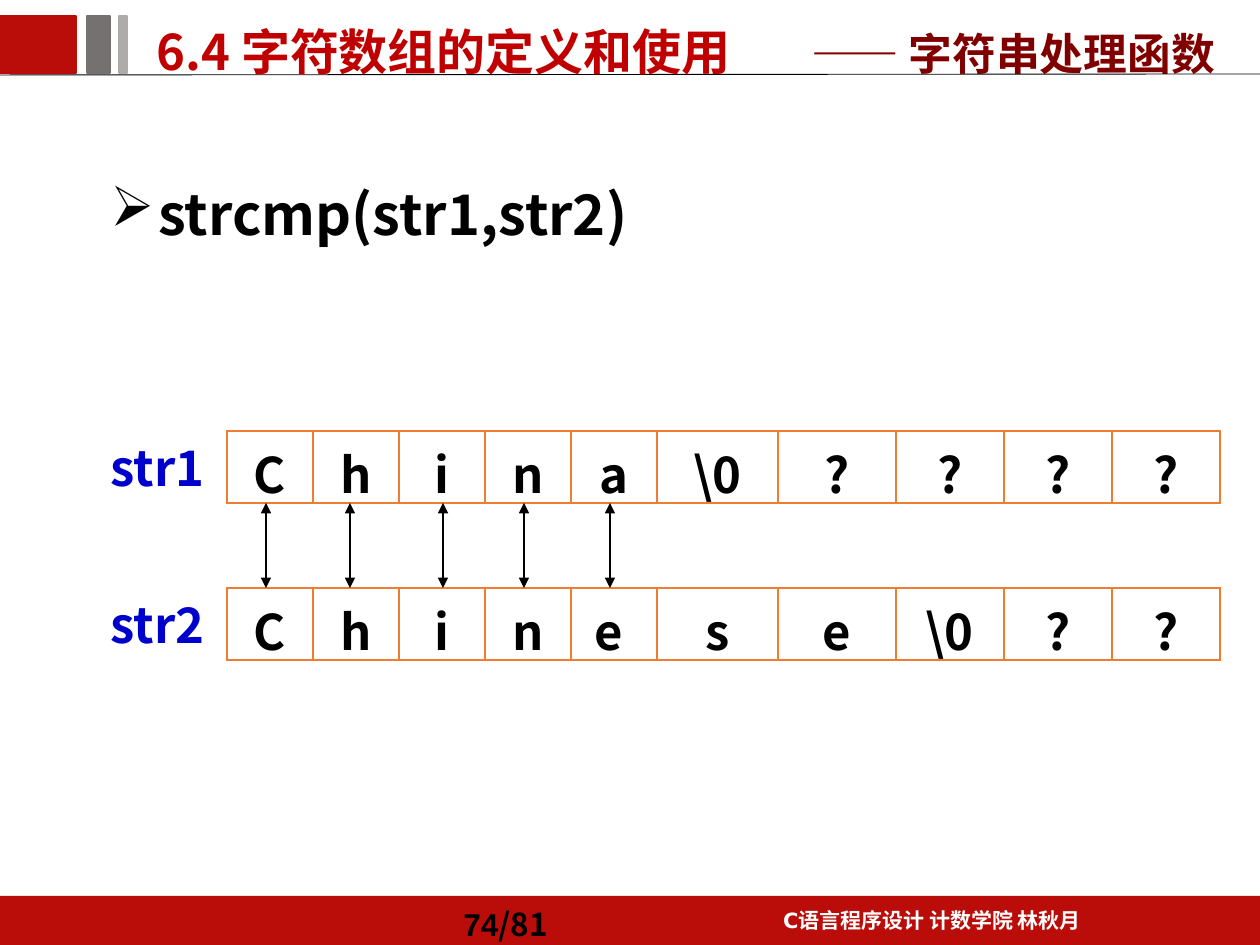
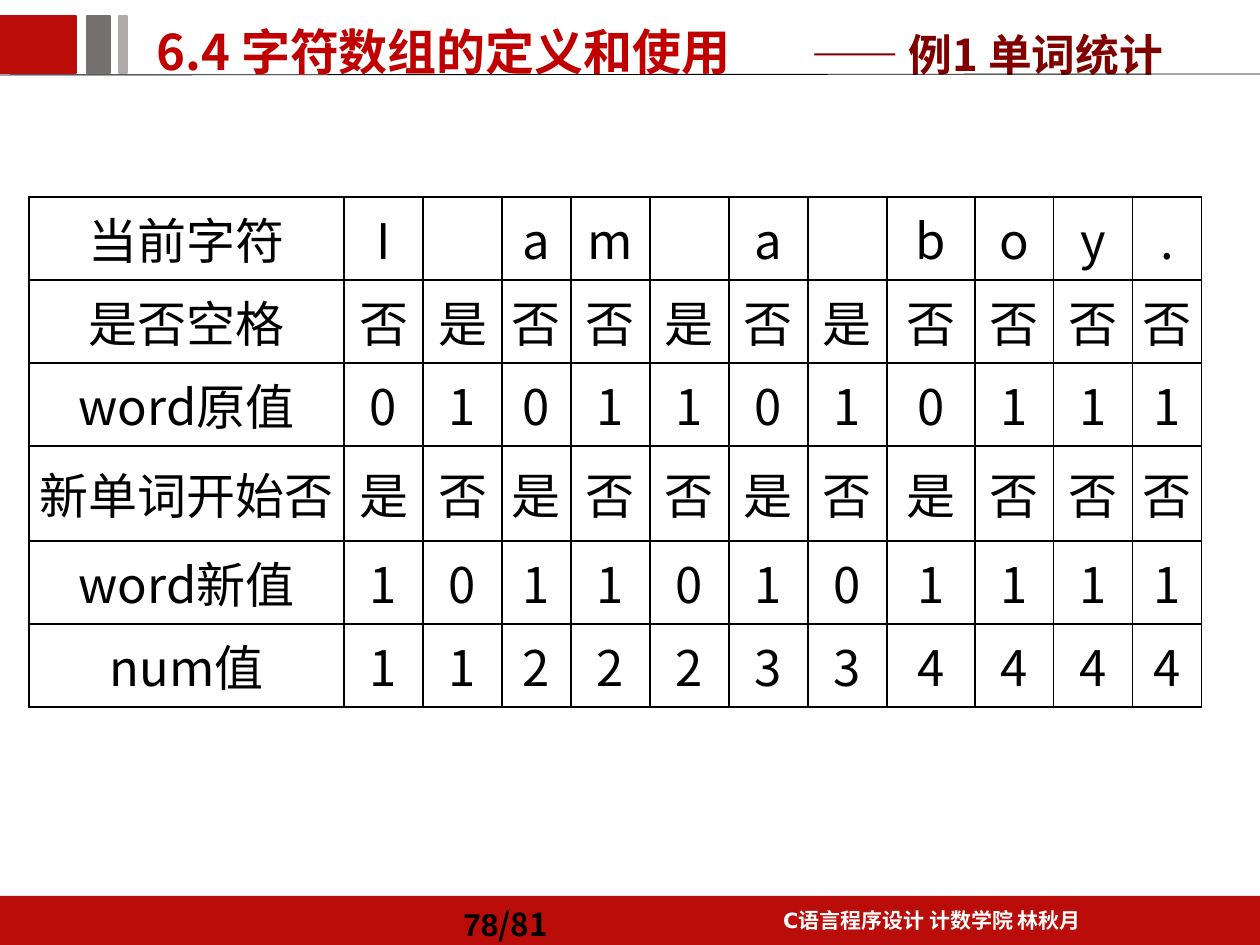
from dataclasses import dataclass

from lxml.etree import SubElement as Sub
from pptx import Presentation
from pptx.dml.color import RGBColor as Color
from pptx.enum.shapes import MSO_CONNECTOR as Link, MSO_SHAPE as Kind
from pptx.enum.text import MSO_ANCHOR as Anchor, MSO_AUTO_SIZE as Auto, PP_ALIGN as Align
from pptx.oxml.ns import qn
from pptx.util import Emu, Pt


@dataclass(frozen=True)
class Theme:
    red: str = "BA0D09"
    gray: str = "767171"
    pale: str = "AFABAB"
    black: str = "000000"
    white: str = "FFFFFF"
    head: str = "C00000"
    topic: str = "800000"
    blue: str = "0000CC"
    orange: str = "ED7D31"
    main: str = "Noto Sans CJK SC"
    plain: str = "Arial"
    sans: str = "DejaVu Sans"
    foot: int = 12
    page: int = 18
    title: int = 25
    body: int = 28
    large: int = 32


T = Theme()
SCALE = 914400 / 126
WIDE, HIGH = 1260, 945


def px(n):
    return Emu(round(n * SCALE))


def box(*sides):
    return [px(n) for n in sides]


def add_run(para, text, size, color, font=T.main, bold=True):
    run = para.add_run()
    run.text = text
    face = run.font
    face.size, face.bold, face.name = Pt(size), bold, font
    face.color.rgb = Color.from_string(color)
    Sub(run._r.get_or_add_rPr(), qn("a:ea"), typeface=T.main)


def add_text(slide, area, runs, size, color, grow=True, loose=True, align=Align.LEFT):
    frame = slide.shapes.add_textbox(*box(*area)).text_frame
    frame.word_wrap = True
    frame.auto_size = Auto.SHAPE_TO_FIT_TEXT if grow else Auto.NONE
    para = frame.paragraphs[0]
    para.alignment = align
    if loose:
        para.line_spacing = 1.2
        para.space_before = Pt(size * 0.2)
    for text, font in runs:
        add_run(para, text, size, color, font)
    return frame


def add_bar(slide, area, color, edge=True):
    bar = slide.shapes.add_shape(Kind.RECTANGLE, *box(*area))
    bar.shadow.inherit = False
    bar.fill.solid()
    bar.fill.fore_color.rgb = Color.from_string(color)
    if edge:
        bar.line.color.rgb = Color.from_string(color)
        bar.line.width = Pt(1)
    else:
        bar.line.fill.background()


def add_line(slide, ends, width, arrow=False):
    line = slide.shapes.add_connector(Link.STRAIGHT, *box(*ends))
    line.line.color.rgb = Color.from_string(T.black)
    line.line.width = Pt(width)
    if arrow:
        for tag in ("a:headEnd", "a:tailEnd"):
            Sub(line.line._get_or_add_ln(), qn(tag), type="triangle")
    Sub(line._element.spPr, qn("a:effectLst"))


def add_edge(cell, color):
    props = cell._tc.get_or_add_tcPr()
    for spot, tag in enumerate(("a:lnL", "a:lnR", "a:lnT", "a:lnB")):
        edge = Sub(props, qn(tag), w=str(Pt(1)))
        Sub(Sub(edge, qn("a:solidFill")), qn("a:srgbClr"), val=color)
        props.insert(spot, edge)


def add_grid(slide, left, top, cols, rows, cells, edge, inset, anchor, bold):
    area = box(left, top, sum(cols), sum(rows))
    grid = slide.shapes.add_table(len(rows), len(cols), *area).table
    grid.first_row = grid.horz_banding = False
    for col, width in zip(grid.columns, cols):
        col.width = px(width)
    for row, height, texts in zip(grid.rows, rows, cells):
        row.height = px(height)
        for cell, text in zip(row.cells, texts):
            cell.fill.background()
            cell.vertical_anchor = anchor
            cell.margin_left = cell.margin_right = px(inset[0])
            cell.margin_top = cell.margin_bottom = px(inset[1])
            add_edge(cell, edge)
            if text:
                para = cell.text_frame.paragraphs[0]
                para.alignment = Align.CENTER
                add_run(para, text, T.body, T.black, bold=bold)


def add_head(slide, topic, top):
    add_line(slide, (0, 75, WIDE, 74), 0.5)
    for left, width, color in ((0, 76, T.red), (87, 23, T.gray), (119, 8, T.pale)):
        add_bar(slide, (left, 16, width, 57), color)
    add_text(slide, (144, 4, 699, 84), [("6.4 字符数组的定义和使用", T.main)], T.body, T.head)
    title = slide.shapes.title
    title.left, title.top, title.width, title.height = box(799, top, 461, 66)
    frame = title.text_frame
    frame.word_wrap = True
    frame.auto_size = Auto.SHAPE_TO_FIT_TEXT
    frame.vertical_anchor = Anchor.BOTTOM
    para = frame.paragraphs[0]
    para.alignment = Align.LEFT
    add_run(para, "—— " + topic, T.title, T.topic)


def add_foot(slide, page):
    top = 896
    add_bar(slide, (0, top, WIDE, HIGH - top), T.red, edge=False)
    credit = [("C", T.sans), ("语言程序设计 ", T.plain), ("计数", T.sans), ("学院 林秋月", T.plain)]
    add_text(slide, (709, top, 446, 43), credit, T.foot, T.white, align=Align.CENTER)
    count = [(str(page), T.plain), ("/81", T.main)]
    frame = add_text(slide, (451, top, 179, 49), count, T.page, T.black, grow=False)
    frame.vertical_anchor = Anchor.MIDDLE


def add_page(deck, page, topic, top):
    slide = deck.slides.add_slide(deck.slide_layouts[5])
    add_foot(slide, page)
    add_head(slide, topic, top)
    return slide


def add_call(slide, area, text):
    frame = add_text(slide, area, [(text, T.main)], T.large, T.black, grow=False)
    props = frame.paragraphs[0]._p.get_or_add_pPr()
    props.set("marL", str(px(48)))
    props.set("indent", str(px(-48)))
    Sub(props, qn("a:buChar"), char="➢")


def add_string(slide, left, top, name, chars):
    add_text(slide, (left, top, 128, 72), [(name, T.main)], T.body, T.blue, loose=False)
    cols = [86] * 5 + [121, 118] + [108] * 3
    add_grid(slide, left + 129, top, cols, [72], [chars], T.orange, (13, 6), Anchor.TOP, True)


def show_compare(deck):
    slide = add_page(deck, 74, "字符串处理函数", 20)
    add_call(slide, (98, 160, 1121, 625), "strcmp(str1,str2)")
    add_string(slide, 98, 431, "str1", [*"China", r"\0", *"????"])
    add_string(slide, 98, 588, "str2", [*"Chin", "e ", *"se", r"\0", *"??"])
    for mid in (266, 350, 443, 524, 610):
        add_line(slide, (mid, 588, mid, 503), 1.5, arrow=True)


def show_count(deck):
    slide = add_page(deck, 78, "例1 单词统计", 21)
    data = (
        ("当前字符", "I am a boy."),
        ("是否空格", "否是否否是否是否否否否"),
        ("word原值", "01011010111"),
        ("新单词开始否", "是否是否否是否是否否否"),
        ("word新值", "10110101111"),
        ("num值", "11222334444"),
    )
    cells = [[name, *(char.strip() for char in chars)] for name, chars in data]
    cols = [315, 79, 79, 69, 79, 79, 79, 79, 88, 79, 79, 69]
    rows = [83, 83, 83, 95, 83, 83]
    add_grid(slide, 29, 197, cols, rows, cells, T.black, (9, 0), Anchor.MIDDLE, False)


def main():
    deck = Presentation()
    deck.slide_width, deck.slide_height = box(WIDE, HIGH)
    show_compare(deck)
    show_count(deck)
    deck.save("out.pptx")


if __name__ == "__main__":
    main()
